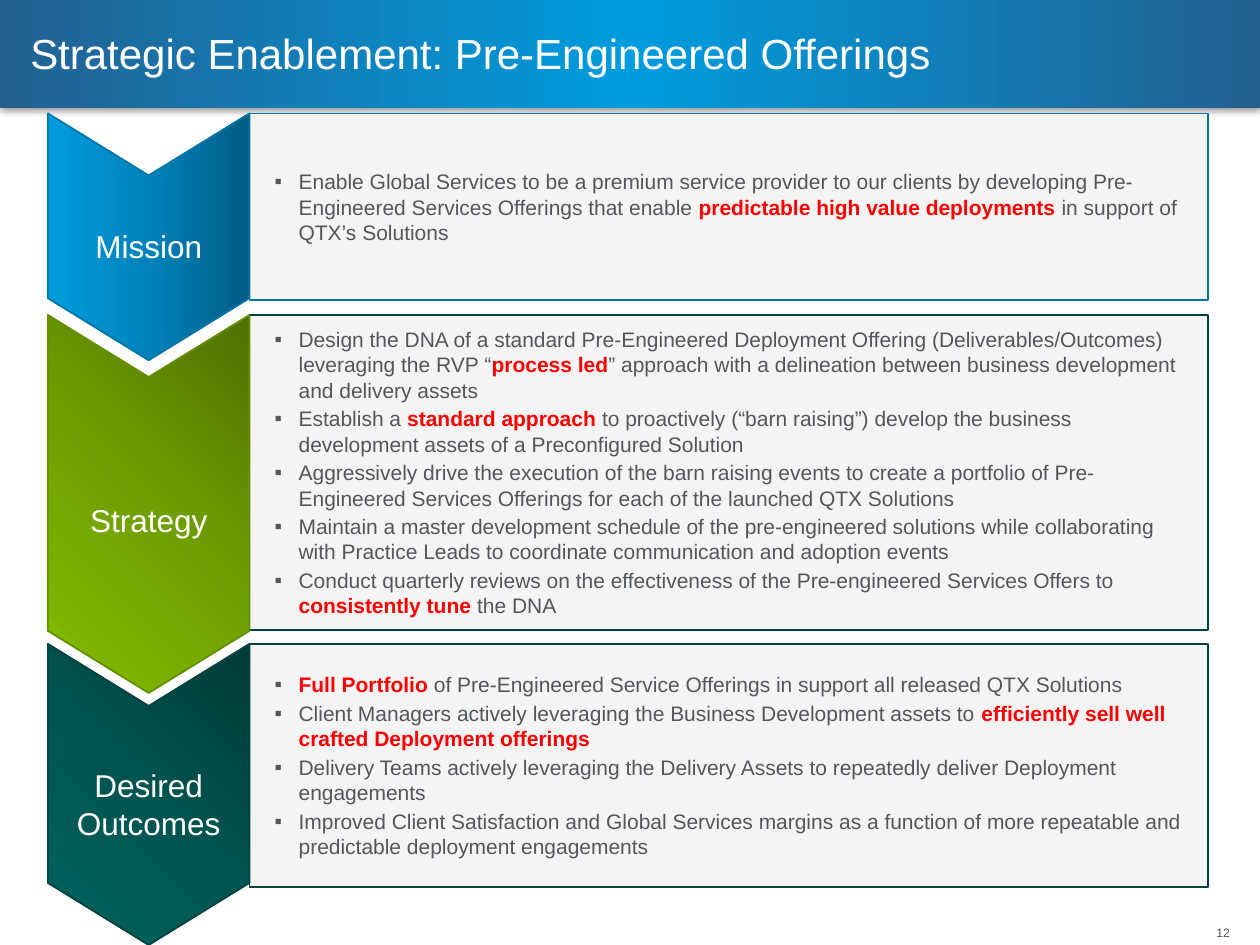
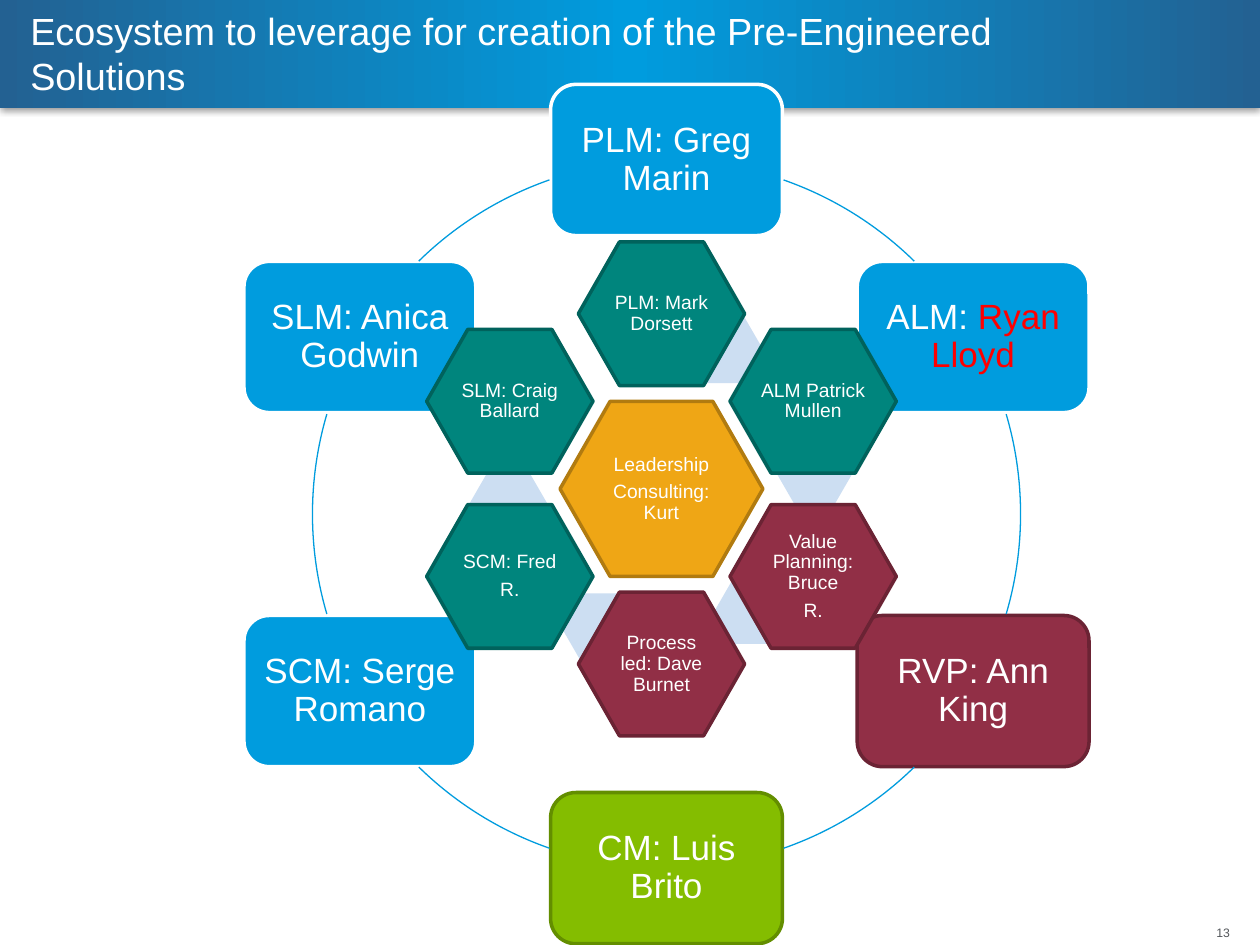
from copy import deepcopy
from math import cos, radians, sin

from lxml import etree
from pptx import Presentation
from pptx import util as u
from pptx.dml.color import RGBColor
from pptx.enum import shapes, text
from pptx.oxml import ns

COLORS = {
    "white": "FFFFFF", "body": "53565A", "accent": "FF0000", "panel": "F4F4F4",
    "navy": "236192", "sky": "009CDE", "blue_line": "0075A6",
    "green": "84BD00", "green_line": "638E00", "teal": "00857D", "teal_line": "00625C",
    "dark_teal_line": "00423F", "wine": "912F46", "wine_line": "6B2334",
    "amber": "EFA615", "amber_line": "B17B10", "link": "CCDEF2",
    "blue_deep": "005C84", "blue_mid": "0083BB",
    "green_deep": "4E7000", "green_mid": "6F9F00",
    "teal_deep": "003B38", "teal_mid": "00544F", "teal_end": "00645E",
}
FONT = "Arial"
KIND = shapes.MSO_SHAPE
ALIGN = text.PP_ALIGN
MIDDLE = text.MSO_ANCHOR.MIDDLE


def rgb(name):
    return RGBColor.from_string(COLORS[name])


def around(center, radius, degrees):
    """Point on a circle; degrees run clockwise from three o'clock."""
    angle = radians(degrees)
    return center[0] + radius * cos(angle), center[1] + radius * sin(angle)


class Deck:
    def __init__(self):
        self.prs = Presentation()
        self.prs.slide_width, self.prs.slide_height = u.Inches(10), u.Inches(7.5)
        self.slide = None

    def new_slide(self, title, number, title_size=24):
        self.slide = self.prs.slides.add_slide(self.prs.slide_layouts[6])
        band = self.shape(KIND.RECTANGLE, (0, 0, 10, 0.86))
        self.gradient(band, ("navy", "sky", "navy"), 0)
        self.drop_shadow(band)
        self.label((0.24, 0.17, 8.32, 0.5), title, title_size, "white", anchor=MIDDLE)
        self.label((9.27, 7.34, 0.49, 0.12), number, 7, "body", align=ALIGN.RIGHT)

    def shape(self, kind, box, fill=None, line=None, width=1, adjust=()):
        item = self.slide.shapes.add_shape(kind, *map(u.Inches, box))
        item.shadow.inherit = False
        if fill:
            item.fill.solid()
            item.fill.fore_color.rgb = rgb(fill)
        else:
            item.fill.background()
        if line:
            item.line.color.rgb = rgb(line)
            item.line.width = u.Pt(width)
        else:
            item.line.fill.background()
        for index, value in enumerate(adjust):
            item.adjustments[index] = value
        return item

    def centered(self, kind, center, size, *style, **options):
        box = (center[0] - size[0] / 2, center[1] - size[1] / 2, *size)
        return self.shape(kind, box, *style, **options)

    def gradient(self, item, colors, angle):
        """Three even stops; angle is clockwise in degrees."""
        item.fill.gradient()
        item.fill.gradient_angle = -angle % 360
        stop_list = next(item._element.spPr.iter(ns.qn("a:gsLst")))
        stop_list.append(deepcopy(stop_list[0]))
        for index, stop in enumerate(item.fill.gradient_stops):
            stop.position = index / 2
            stop.color.rgb = rgb(colors[index])

    def drop_shadow(self, item):
        effects = item._element.spPr.find(ns.qn("a:effectLst"))
        shadow = etree.SubElement(effects, ns.qn("a:outerShdw"), blurRad="50800",
                                  dist="12700", dir="5400000", rotWithShape="0")
        color = etree.SubElement(shadow, ns.qn("a:srgbClr"), val="000000")
        etree.SubElement(color, ns.qn("a:alpha"), val="40000")

    def label(self, box, words, size, color, anchor=text.MSO_ANCHOR.TOP, align=ALIGN.LEFT):
        item = self.slide.shapes.add_textbox(*map(u.Inches, box))
        self.set_text(item, [words], size, color, (0, 0, 0, 0), align, anchor)

    def set_text(self, item, lines, size, color, insets, align=ALIGN.CENTER, anchor=MIDDLE,
                 bullet=False, spacing=None, before=0, bold_accent=True):
        """Fill a shape with paragraphs; words between asterisks take the accent colour."""
        frame = item.text_frame
        frame.word_wrap = True
        frame.vertical_anchor = anchor
        (frame.margin_left, frame.margin_top,
         frame.margin_right, frame.margin_bottom) = map(u.Inches, insets)
        for index, line in enumerate(lines):
            para = frame.add_paragraph() if index else frame.paragraphs[0]
            para.alignment = align
            if spacing:
                para.line_spacing = spacing
            if index:
                para.space_before = u.Pt(before)
            if bullet:
                self.add_bullet(para)
            para.font.name, para.font.size = FONT, u.Pt(size)
            para.font.color.rgb = rgb(color)
            for part, words in enumerate(line.split("*")):
                if not words:
                    continue
                run = para.add_run()
                run.text = words
                if part % 2:
                    run.font.color.rgb = rgb("accent")
                    if bold_accent:
                        run.font.bold = True

    def add_bullet(self, para):
        props = para._p.get_or_add_pPr()
        indent = u.Inches(0.19)
        props.set("marL", str(indent))
        props.set("indent", str(-indent))
        color = etree.SubElement(props, ns.qn("a:buClr"))
        etree.SubElement(color, ns.qn("a:srgbClr"), val=COLORS["body"])
        etree.SubElement(props, ns.qn("a:buFont"), typeface=FONT)
        etree.SubElement(props, ns.qn("a:buChar"), char="▪")

    def panel(self, top, height, line, points):
        item = self.shape(KIND.RECTANGLE, (1.98, top, 7.61, height), "panel", line)
        self.set_text(item, points, 12, "body", (0.2, 0.05, 0.1, 0.05), ALIGN.LEFT,
                      bullet=True, before=2)

    def down_chevron(self, top, length, name, colors, angle, line, inset):
        center = (1.18, top + length / 2)
        item = self.centered(KIND.CHEVRON, center, (length, 1.6), None, line, adjust=[0.308])
        item.rotation = 90
        self.gradient(item, colors, angle)
        self.set_text(item, [name], 18, "white", (inset, 0.05, 0.1, 0.05))
        item.text_frame._txBody.bodyPr.set("vert", "vert270")

    def card(self, center, name, fill, line):
        item = self.centered(KIND.ROUNDED_RECTANGLE, center, (1.84, 1.2), fill, line, width=2)
        self.set_text(item, [name], 20, "white", [0.08] * 4, spacing=0.9, bold_accent=False)

    def hexagon(self, center, size, lines, fill, line):
        item = self.centered(KIND.HEXAGON, center, size, fill, line, width=2,
                             adjust=[0.286, 1.155])
        self.set_text(item, lines, 11, "white", [0.02] * 4, spacing=0.9, before=3.85)

    def arc(self, center, radius, start, end):
        # Arc adjustments count 60000ths of a degree, scaled by 100000
        self.centered(KIND.ARC, center, (2 * radius, 2 * radius), None, "sky", width=0.75,
                      adjust=[start % 360 * 0.6, end % 360 * 0.6])


def offerings_slide(deck):
    deck.new_slide("Strategic Enablement: Pre-Engineered Offerings", "12")
    deck.panel(0.9, 1.48, "blue_line", [
        "Enable Global Services to be a premium service provider to our clients by developing "
        "Pre-Engineered Services Offerings that enable *predictable high value deployments *"
        "in support of QTX’s Solutions",
    ])
    deck.down_chevron(0.9, 1.96, "Mission", ("blue_deep", "blue_mid", "sky"), 90,
                      "blue_line", 0.2)
    deck.panel(2.5, 2.5, "dark_teal_line", [
        "Design the DNA of a standard Pre-Engineered Deployment Offering "
        "(Deliverables/Outcomes) leveraging the RVP “*process led*” approach with a "
        "delineation between business development and delivery assets",
        "Establish a *standard approach *to proactively (“barn raising”) develop the business "
        "development assets of a Preconfigured Solution",
        "Aggressively drive the execution of the barn raising events to create a portfolio of "
        "Pre-Engineered Services Offerings for each of the launched QTX Solutions",
        "Maintain a master development schedule of the pre-engineered solutions while "
        "collaborating with Practice Leads to coordinate communication and adoption events",
        "Conduct quarterly reviews on the effectiveness of the Pre-engineered Services Offers "
        "to *consistently tune *the DNA",
    ])
    deck.down_chevron(2.5, 3, "Strategy", ("green_deep", "green_mid", "green"), 45,
                      "green_line", 0.3)
    deck.panel(5.11, 1.93, "dark_teal_line", [
        "*Full Portfolio* of Pre-Engineered Service Offerings in support all released "
        "QTX Solutions",
        "Client Managers actively leveraging the Business Development assets to "
        "*efficiently sell well crafted Deployment offerings*",
        "Delivery Teams actively leveraging the Delivery Assets to repeatedly deliver "
        "Deployment engagements",
        "Improved Client Satisfaction and Global Services margins as a function of more "
        "repeatable and predictable deployment engagements",
    ])
    deck.down_chevron(5.11, 2.39, "Desired Outcomes", ("teal_deep", "teal_mid", "teal_end"),
                      45, "dark_teal_line", 0.2)


def ecosystem_slide(deck):
    deck.new_slide("Ecosystem to leverage for creation of the Pre-Engineered Solutions",
                   "13", 21.6)
    ring_center, ring_radius = (5.29, 4.08), 2.81
    owners = [
        ("PLM: Greg Marin", "sky", "white"),
        ("ALM: *Ryan Lloyd*", "sky", "white"),
        ("RVP: Ann King", "wine", "wine_line"),
        ("CM: Luis Brito", "green", "green_line"),
        ("SCM: Serge Romano", "sky", "white"),
        ("SLM: Anica Godwin", "sky", "white"),
    ]
    for index, owner in enumerate(owners):
        deck.card(around(ring_center, ring_radius, 60 * index - 90), *owner)
    for start, end in [(-70.7, -45.6), (-16.4, 16.4), (45.6, 70.7),
                       (109.3, 134.4), (163.6, 196.4), (225.6, 250.7)]:
        deck.arc(ring_center, ring_radius, start, end)

    hub = (5.25, 3.88)
    deck.hexagon(hub, (1.61, 1.39), ["Leadership", "Consulting: Kurt"], "amber", "amber_line")
    for left, top in [(5.45, 2.52), (6.16, 3.49), (5.67, 4.59), (4.45, 4.71), (3.73, 3.73)]:
        deck.shape(KIND.HEXAGON, (left, top, 0.61, 0.52), "link", adjust=[0.289, 1.155])
    teams = [
        (["PLM: Mark Dorsett"], "teal"),
        (["ALM Patrick Mullen"], "teal"),
        (["Value Planning: Bruce", "R."], "wine"),
        (["Process led: Dave Burnet"], "wine"),
        (["SCM: Fred", "R."], "teal"),
        (["SLM: Craig Ballard"], "teal"),
    ]
    for index, (lines, fill) in enumerate(teams):
        deck.hexagon(around(hub, 1.39, 60 * index - 90), (1.32, 1.14), lines, fill,
                     fill + "_line")


def main():
    deck = Deck()
    offerings_slide(deck)
    ecosystem_slide(deck)
    deck.prs.save("out.pptx")


if __name__ == "__main__":
    main()
